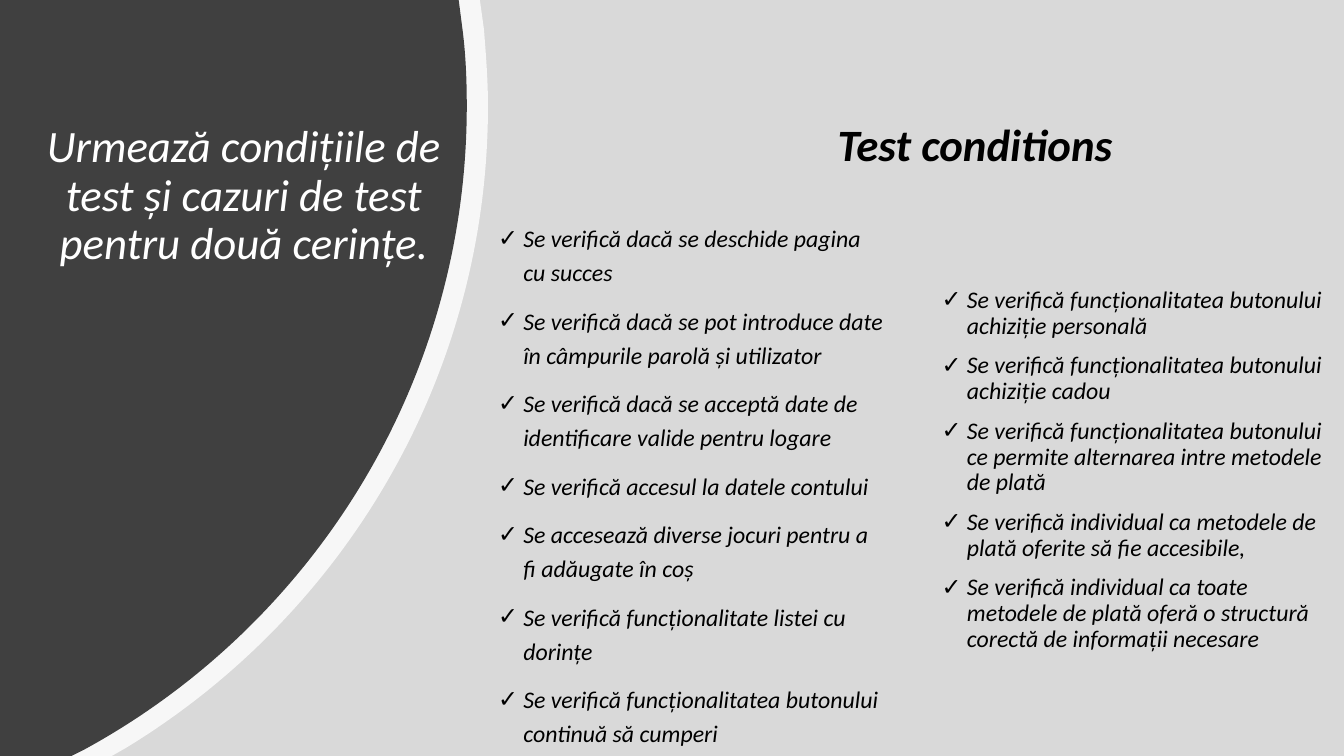
from dataclasses import dataclass
from typing import Optional

import lxml.etree
import pptx
import pptx.dml.color
import pptx.enum.shapes
import pptx.enum.text
import pptx.oxml.ns
import pptx.util

Inches = pptx.util.Inches
qn = pptx.oxml.ns.qn
Point = tuple[float, float]


@dataclass(frozen=True)
class Theme:
    font: str = "Calibri"
    heading_size: int = 32
    list_size: int = 17
    background: str = "D9D9D9"
    panel: str = "404040"
    white: str = "FFFFFF"
    black: str = "000000"


@dataclass(frozen=True)
class Area:
    left: float
    top: float
    width: float
    height: float


@dataclass(frozen=True)
class Curve:
    first_control: Point
    second_control: Point
    end: Point


@dataclass(frozen=True)
class Disc:
    top_edge: Point
    curve_start: Point
    curves: tuple[Curve, ...]
    bottom_edge: Point
    color: str
    opacity: Optional[int] = None


@dataclass(frozen=True)
class Checklist:
    placeholder: int
    area: Area
    line_spacing: float
    bottom_margin: float
    items: tuple[str, ...]


THEME = Theme()
SLIDE = Area(0, 0, 13.33, 7.5)

DISCS = (
    Disc((4.76, 0), (4.8, 0.29),
         (Curve((4.82, 0.54), (4.84, 0.8), (4.84, 1.05)),
          Curve((4.84, 3.75), (3.4, 6.11), (1.25, 7.42))),
         (1.11, 7.5), THEME.white, 80),
    Disc((4.55, 0), (4.59, 0.31),
         (Curve((4.62, 0.55), (4.63, 0.8), (4.63, 1.05)),
          Curve((4.63, 3.81), (3.09, 6.21), (0.83, 7.44))),
         (0.71, 7.5), THEME.panel),
)

CHECKLISTS = (
    Checklist(1, Area(4.84, 2.09, 4.04, 5.4), 1.2, 0.05, (
        "Se verifică dacă se deschide pagina cu succes",
        "Se verifică dacă se pot introduce date în câmpurile parolă și utilizator",
        "Se verifică dacă se acceptă date de identificare valide pentru logare",
        "Se verifică accesul la datele contului",
        "Se accesează diverse jocuri pentru a fi adăugate în coș",
        "Se verifică funcționalitate listei cu dorințe",
        "Se verifică funcționalitatea butonului continuă să cumperi",
    )),
    Checklist(2, Area(9.24, 2.09, 4.09, 5.4), 0.9, 0.3, (
        "Se verifică funcționalitatea butonului achiziție personală",
        "Se verifică funcționalitatea butonului achiziție cadou",
        "Se verifică funcționalitatea butonului ce permite alternarea intre metodele de plată",
        "Se verifică individual ca metodele de plată oferite să fie accesibile,",
        "Se verifică individual ca toate metodele de plată oferă o structură corectă de informații necesare",
    )),
)


def place(shape, area: Area) -> None:
    shape.left, shape.top = Inches(area.left), Inches(area.top)
    shape.width, shape.height = Inches(area.width), Inches(area.height)


def paint(shape, color: str, opacity: Optional[int] = None) -> None:
    shape.shadow.inherit = False
    shape.line.fill.background()
    shape.fill.solid()
    shape.fill.fore_color.rgb = pptx.dml.color.RGBColor.from_string(color)
    if opacity is not None:
        swatch = next(shape.element.iter(qn("a:srgbClr")))
        alpha = lxml.etree.SubElement(swatch, qn("a:alpha"))
        alpha.set("val", str(opacity * 1000))


def bend(segment, curve: Curve) -> None:
    bezier = lxml.etree.Element(qn("a:cubicBezTo"))
    for x, y in (curve.first_control, curve.second_control, curve.end):
        point = lxml.etree.SubElement(bezier, qn("a:pt"))
        point.set("x", str(Inches(x)))
        point.set("y", str(Inches(y)))
    segment.getparent().replace(segment, bezier)


def draw_disc(page, disc: Disc) -> None:
    corners = [disc.top_edge, disc.curve_start, *(curve.end for curve in disc.curves),
               disc.bottom_edge, (0, SLIDE.height)]
    builder = page.shapes.build_freeform(0, 0)
    builder.add_line_segments([(Inches(x), Inches(y)) for x, y in corners], close=True)
    shape = builder.convert_to_shape()
    segments = list(shape.element.iter(qn("a:lnTo")))
    for segment, curve in zip(segments[2:], disc.curves):
        bend(segment, curve)
    paint(shape, disc.color, disc.opacity)


def add_text(para, text: str, size: int, color: str, bold: bool = False) -> None:
    span = para.add_run()
    span.text = text
    span.font.name = THEME.font
    span.font.size = pptx.util.Pt(size)
    span.font.color.rgb = pptx.dml.color.RGBColor.from_string(color)
    span.font.italic = True
    span.font.bold = bold


def prepare_frame(shape):
    frame = shape.text_frame
    frame.word_wrap = True
    frame.auto_size = pptx.enum.text.MSO_AUTO_SIZE.NONE
    frame.vertical_anchor = pptx.enum.text.MSO_ANCHOR.MIDDLE
    return frame


def add_check_bullet(para) -> None:
    properties = para._p.get_or_add_pPr()
    properties.set("marL", str(Inches(0.25)))
    properties.set("indent", str(Inches(-0.25)))
    bullet = lxml.etree.SubElement(properties, qn("a:buChar"))
    bullet.set("char", "✓")


def draw_checklist(page, checklist: Checklist) -> None:
    box = page.placeholders[checklist.placeholder]
    place(box, checklist.area)
    frame = prepare_frame(box)
    frame.margin_bottom = Inches(checklist.bottom_margin)
    for index, item in enumerate(checklist.items):
        para = frame.add_paragraph() if index else frame.paragraphs[0]
        para.alignment = pptx.enum.text.PP_ALIGN.LEFT
        para.line_spacing = checklist.line_spacing
        para.space_before = pptx.util.Pt(10)
        add_check_bullet(para)
        add_text(para, item, THEME.list_size, THEME.black)


def draw_title(page) -> None:
    title = page.shapes.title
    place(title, Area(0.01, 0, 4.82, 3.9))
    para = prepare_frame(title).paragraphs[0]
    para.alignment = pptx.enum.text.PP_ALIGN.CENTER
    para.line_spacing = 0.9
    add_text(para, "Urmează condițiile de test și cazuri de test pentru două cerințe.",
             THEME.heading_size, THEME.white)


def draw_heading(page) -> None:
    box = page.shapes.add_textbox(Inches(8.21), Inches(1.11), Inches(2.97), Inches(0.64))
    box.text_frame.word_wrap = True
    add_text(box.text_frame.paragraphs[0], "Test conditions",
             THEME.heading_size, THEME.black, bold=True)


def main() -> None:
    deck = pptx.Presentation()
    deck.slide_width, deck.slide_height = Inches(SLIDE.width), Inches(SLIDE.height)
    page = deck.slides.add_slide(deck.slide_layouts[3])
    backdrop = page.shapes.add_shape(
        pptx.enum.shapes.MSO_SHAPE.RECTANGLE, 0, 0, deck.slide_width, deck.slide_height)
    paint(backdrop, THEME.background)
    for disc in DISCS:
        draw_disc(page, disc)
    for placeholder in list(page.placeholders):
        placeholder.element.getparent().append(placeholder.element)
    draw_title(page)
    for checklist in CHECKLISTS:
        draw_checklist(page, checklist)
    draw_heading(page)
    deck.save("out.pptx")


if __name__ == "__main__":
    main()
